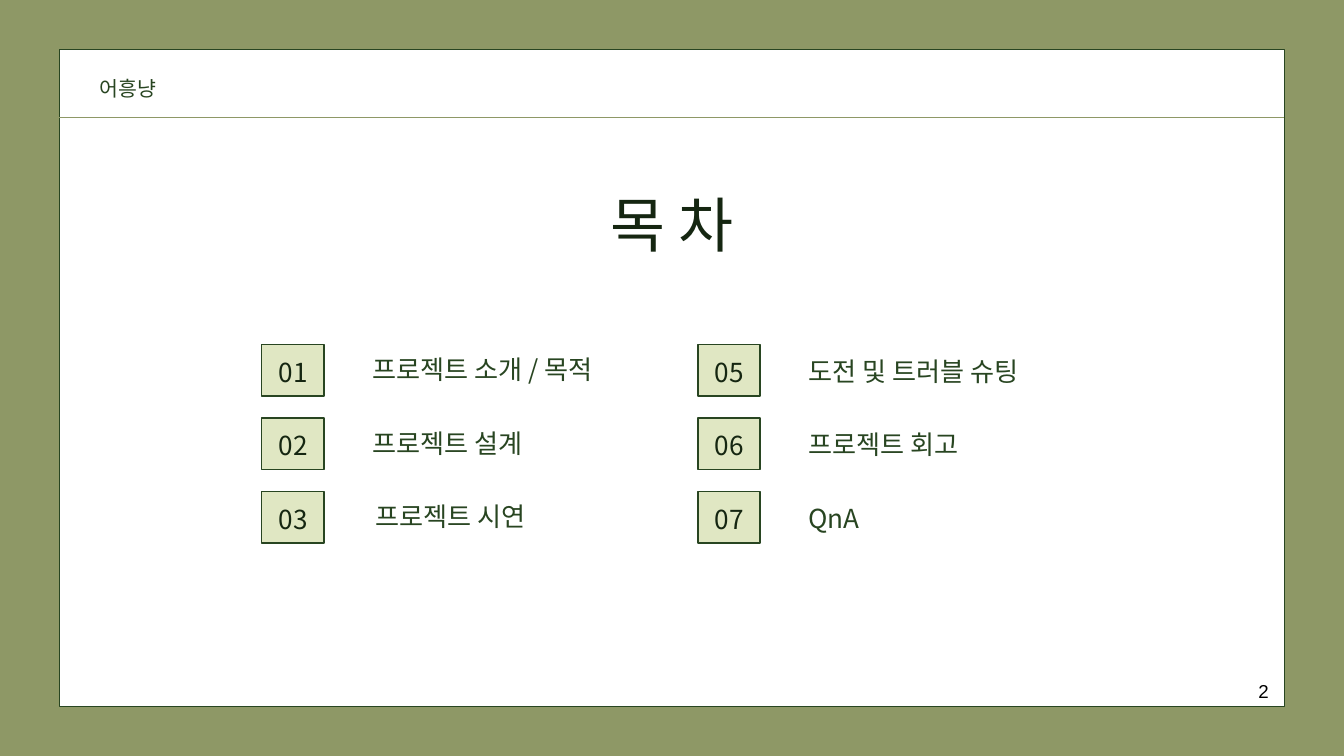
from lxml import etree
from pptx import Presentation
from pptx import util as u
from pptx.dml.color import RGBColor
from pptx.enum import shapes, text
from pptx.oxml import ns

PX = 9525
FONT = "Noto Sans CJK KR"
OLIVE, GREEN, DARK = "8E9866", "284521", "152611"
PALE, WHITE, BLACK = "E0E7C3", "FFFFFF", "000000"
LEFT, CENTER = text.PP_ALIGN.LEFT, text.PP_ALIGN.CENTER


def color(value):
    return RGBColor.from_string(value)


def px(*values):
    return [u.Emu(v * PX) for v in values]


def add_panel(s, box, fill):
    sp = s.shapes.add_shape(shapes.MSO_SHAPE.RECTANGLE, *px(*box))
    sp.shadow.inherit = False
    sp.fill.solid()
    sp.fill.fore_color.rgb = color(fill)
    sp.line.color.rgb = color(GREEN)
    sp.line.width = u.Pt(1.5)


def write(sp, words, size, leading, ink, align=LEFT, font=FONT, wrap=True):
    tf = sp.text_frame
    tf.margin_left = tf.margin_top = tf.margin_right = tf.margin_bottom = 0
    tf.auto_size = text.MSO_AUTO_SIZE.NONE
    tf.vertical_anchor = text.MSO_ANCHOR.TOP
    tf.word_wrap = wrap
    p = tf.paragraphs[0]
    p.alignment = align
    p.line_spacing = u.Pt(leading)
    p.space_before = u.Pt(0)
    r = p.add_run()
    r.text = words
    r.font.size = u.Pt(size)
    r.font.name = font
    r.font.color.rgb = color(ink)
    ea = etree.SubElement(r.font._element, ns.qn("a:ea"))
    ea.set("typeface", font)


def add_text(s, box, *args, **kwargs):
    write(s.shapes.add_textbox(*px(*box)), *args, **kwargs)


def add_frame(s, box, team, page):
    x, y, w, h = box
    add_panel(s, box, WHITE)
    rule = s.shapes.add_connector(
        shapes.MSO_CONNECTOR.STRAIGHT, *px(x, y + 97, x + w, y + 97))
    rule.line.color.rgb = color(OLIVE)
    rule.line.width = u.Pt(1.5)
    etree.SubElement(rule._element.spPr, ns.qn("a:effectLst"))
    add_text(s, (x + 57, y + 31, 309, 40), team, 22, 30.8, GREEN)
    add_text(s, (x + w - 38, y + h - 43, 16, 22), page, 20, 28, BLACK,
             CENTER, "Arial", False)


def add_title(s, box, words):
    sp = s.shapes.title
    sp.left, sp.top, sp.width, sp.height = px(*box)
    write(sp, words, 64, 89.6, DARK, CENTER)
    sp._element.getparent().append(sp._element)


def add_contents(s, box, columns):
    x, y, w, h = box
    for col, (first, label_top, entries) in enumerate(columns):
        left = x + col * (w // 2)
        for row, (words, indent) in enumerate(entries):
            top = y + row * (h // 3)
            add_panel(s, (left, top, 89, 74), PALE)
            add_text(s, (left - 17, top + 17, 124, 43), f"{first + row:02}",
                     28, 33.6, DARK, CENTER)
            add_text(s, (left + 158 + indent, top + label_top, 408 - indent, 45),
                     words, 28, 33.6, GREEN)


def main():
    prs = Presentation()
    prs.slide_width, prs.slide_height = px(1920, 1080)
    s = prs.slides.add_slide(prs.slide_layouts[5])
    s.background.fill.solid()
    s.background.fill.fore_color.rgb = color(OLIVE)
    add_frame(s, (85, 71, 1750, 938), "어흥냥", "2")
    add_title(s, (666, 251, 588, 114), "목 차")
    add_contents(s, (374, 492, 1246, 315), [
        (1, 13, [("프로젝트 소개 / 목적", 0), ("프로젝트 설계", 0), ("프로젝트 시연", 4)]),
        (5, 15, [("도전 및 트러블 슈팅", 0), ("프로젝트 회고", 0), ("QnA", 0)]),
    ])
    prs.save("out.pptx")


if __name__ == "__main__":
    main()
